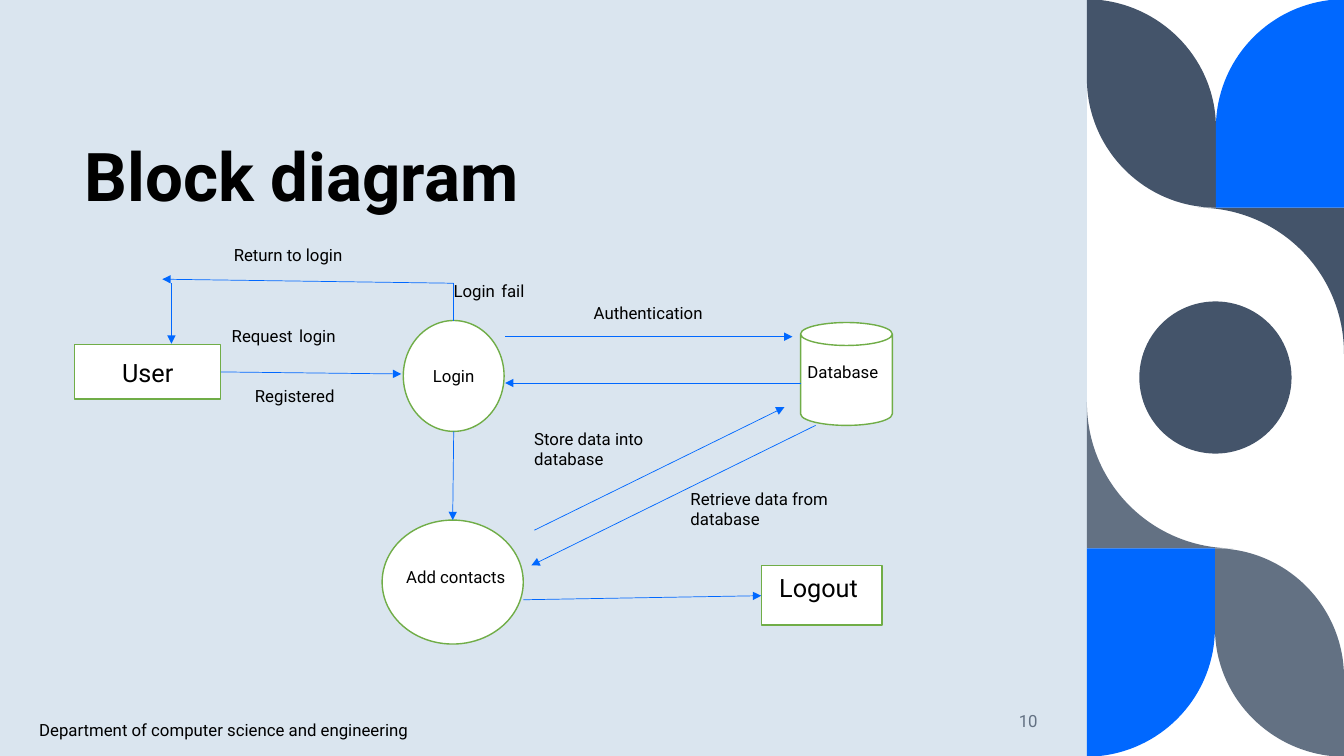
"""Builds the block diagram slide of a contact management system."""
from lxml import etree
from pptx import Presentation
from pptx.dml.color import RGBColor
from pptx.enum.shapes import MSO_CONNECTOR as Connector, MSO_SHAPE as Shape
from pptx.enum.text import MSO_ANCHOR as Anchor, PP_ALIGN as Align
from pptx.oxml.ns import qn
from pptx.util import Inches, Pt

THEME = {
    "font": "Roboto", "text": "000000", "muted": "637183", "panel": "DAE5EF",
    "accent": "0068FF", "slate": "44546A", "node": "FFFFFF", "outline": "70AD47",
    "title": 48, "large": 18, "body": 12, "outline_width": 1, "arrow_width": 0.5,
}
WIDTH, HEIGHT = 13.33, 7.5
PANEL_WIDTH = 10.78

# Each tile lists its parts: one point is a corner, three points are a curve.
TILES = [
    ("slate", "muted", [
        [(10.78, 0)], [(10.78, 0.78)], [(10.78, 1.48), (11.35, 2.06), (12.06, 2.06)],
        [(12.06, 1.27)], [(12.06, 0.61), (11.55, 0.07), (10.91, 0)]]),
    ("slate", "muted", [
        [(13.33, 2.06)], [(11.88, 2.06)], [(12.68, 2.06), (13.33, 2.7), (13.33, 3.51)]]),
    ("accent", "accent", [
        [(13.33, 0)], [(13.33, 2.06)], [(12.06, 2.06)], [(12.06, 1.27)],
        [(12.06, 0.61), (12.56, 0.07), (13.2, 0)]]),
]
DISC = (11.3, 2.99, 1.51, 1.51)

NODES = [
    (Shape.RECTANGLE, (0.74, 3.42, 1.45, 0.54), "User", "large"),
    (Shape.OVAL, (4, 3.18, 1, 1.1), "Login", "body"),
    (Shape.CAN, (7.94, 3.2, 0.91, 1.02), "", "body"),
    (Shape.OVAL, (3.79, 5.16, 1.4, 1.23), "", "body"),
    (Shape.RECTANGLE, (7.55, 5.61, 1.2, 0.59), "", "body"),
]
ARROWS = [
    ((2.19, 3.69), (3.98, 3.71)),
    ((1.7, 2.81), (1.7, 3.41)),
    ((4.5, 2.81), (1.61, 2.77)),
    ((7.94, 3.8), (5.01, 3.8)),
    ((5.01, 3.34), (7.86, 3.34)),
    ((4.5, 4.28), (4.49, 5.16)),
    ((8.09, 4.22), (5.27, 5.61)),
    ((5.3, 5.26), (7.78, 4.04)),
    ((5.19, 5.95), (7.55, 5.91)),
]
LOGIN_FAIL_LINE = ((4.5, 3.18), (4.5, 2.81))
LABELS = [
    ((2.43, 3.78, 1.33, 0.41), "Registered", "body"),
    ((2.22, 2.38, 1.69, 0.41), "Return to login", "body"),
    ((7.63, 5.63, 1.69, 0.54), "Logout", "large"),
    ((3.93, 5.57, 1.69, 0.3), "Add contacts", "body"),
    ((5.79, 2.95, 1.69, 0.41), "Authentication", "body"),
    ((5.2, 4.2, 1.95, 0.68), "Store data into database", "body"),
    ((6.75, 4.8, 1.95, 0.68), "Retrieve data from database", "body"),
    ((7.91, 3.54, 1.69, 0.3), "Database", "body"),
    ((0.29, 7.09, 4.27, 0.25), "Department of computer science and engineering", "body"),
]
WIDE_GAP_LABELS = [
    ((2.2, 3.1, 1.73, 0.54), ("Request", "login")),
    ((4.4, 2.65, 1.69, 0.54), ("Login", "fail")),
]
TITLE = ((0.74, 1.28, 7.52, 0.91), "Block diagram")
PAGE_NUMBER = ((9.11, 6.95, 1.28, 0.4), "10")


def color(name):
    return RGBColor.from_string(THEME[name])


def style_shape(shape, fill, outline=None):
    shape.shadow.inherit = False
    shape.fill.solid()
    shape.fill.fore_color.rgb = color(fill)
    if outline:
        shape.line.color.rgb = color(outline)
        shape.line.width = Pt(THEME["outline_width"])
    else:
        shape.line.fill.background()


def add_shape(slide, kind, box, fill, outline=None):
    shape = slide.shapes.add_shape(kind, *map(Inches, box))
    style_shape(shape, fill, outline)
    return shape


def write(shape, text, size, ink="text", align=Align.LEFT, bold=False):
    paragraph = shape.text_frame.paragraphs[0]
    paragraph.text = text
    paragraph.alignment = align
    font = paragraph.font
    font.name, font.size, font.bold = THEME["font"], Pt(THEME[size]), bold
    font.color.rgb = color(ink)
    return paragraph


def add_text_box(slide, box):
    text_box = slide.shapes.add_textbox(*map(Inches, box))
    text_box.text_frame.word_wrap = True
    return text_box


def add_line(slide, start, end, arrow=True):
    points = map(Inches, (*start, *end))
    connector = slide.shapes.add_connector(Connector.STRAIGHT, *points)
    connector.line.color.rgb = color("accent")
    connector.line.width = Pt(THEME["arrow_width"])
    if arrow:
        etree.SubElement(connector.line._get_or_add_ln(), qn("a:tailEnd"), type="triangle")
    etree.SubElement(connector._element.spPr, qn("a:effectLst"))


def add_tile(slide, parts, fill):
    corners = [(Inches(x), Inches(y)) for part in parts for x, y in part]
    builder = slide.shapes.build_freeform(*corners[0])
    builder.add_line_segments(corners[1:], close=True)
    tile = builder.convert_to_shape()
    segments = iter(list(tile._element.iter(qn("a:lnTo"))))
    for part in parts[1:]:
        first, *others = [next(segments) for _ in part]
        if others:
            first.tag = qn("a:cubicBezTo")
        for segment in others:
            first.append(segment[0])
            segment.getparent().remove(segment)
    style_shape(tile, fill)


def add_decoration(slide):
    add_shape(slide, Shape.RECTANGLE, (0, 0, PANEL_WIDTH, HEIGHT), "panel")
    for top_fill, bottom_fill, parts in TILES:
        turned = [[(PANEL_WIDTH + WIDTH - x, HEIGHT - y) for x, y in part] for part in parts]
        add_tile(slide, parts, top_fill)
        add_tile(slide, turned, bottom_fill)
    add_shape(slide, Shape.OVAL, DISC, "slate")


def add_diagram(slide):
    for kind, box, text, size in NODES:
        node = add_shape(slide, kind, box, "node", "outline")
        if text:
            node.text_frame.vertical_anchor = Anchor.MIDDLE
            write(node, text, size, align=Align.CENTER)
    for start, end in ARROWS:
        add_line(slide, start, end)
    add_line(slide, *LOGIN_FAIL_LINE, arrow=False)
    for box, text, size in LABELS:
        write(add_text_box(slide, box), text, size)
    for box, (first, second) in WIDE_GAP_LABELS:
        paragraph = write(add_text_box(slide, box), first, "body")
        gap = paragraph.add_run()
        gap.text = " "
        gap.font.size = Pt(THEME["large"])
        paragraph.add_run().text = second


def main():
    presentation = Presentation()
    presentation.slide_width, presentation.slide_height = Inches(WIDTH), Inches(HEIGHT)
    slide = presentation.slides.add_slide(presentation.slide_layouts[6])
    add_decoration(slide)
    add_diagram(slide)
    title_box, title = TITLE
    write(add_text_box(slide, title_box), title, "title", bold=True)
    number_box, number = PAGE_NUMBER
    page_number = add_text_box(slide, number_box)
    page_number.text_frame.vertical_anchor = Anchor.MIDDLE
    write(page_number, number, "body", "muted", Align.RIGHT)
    presentation.save("out.pptx")


if __name__ == "__main__":
    main()
